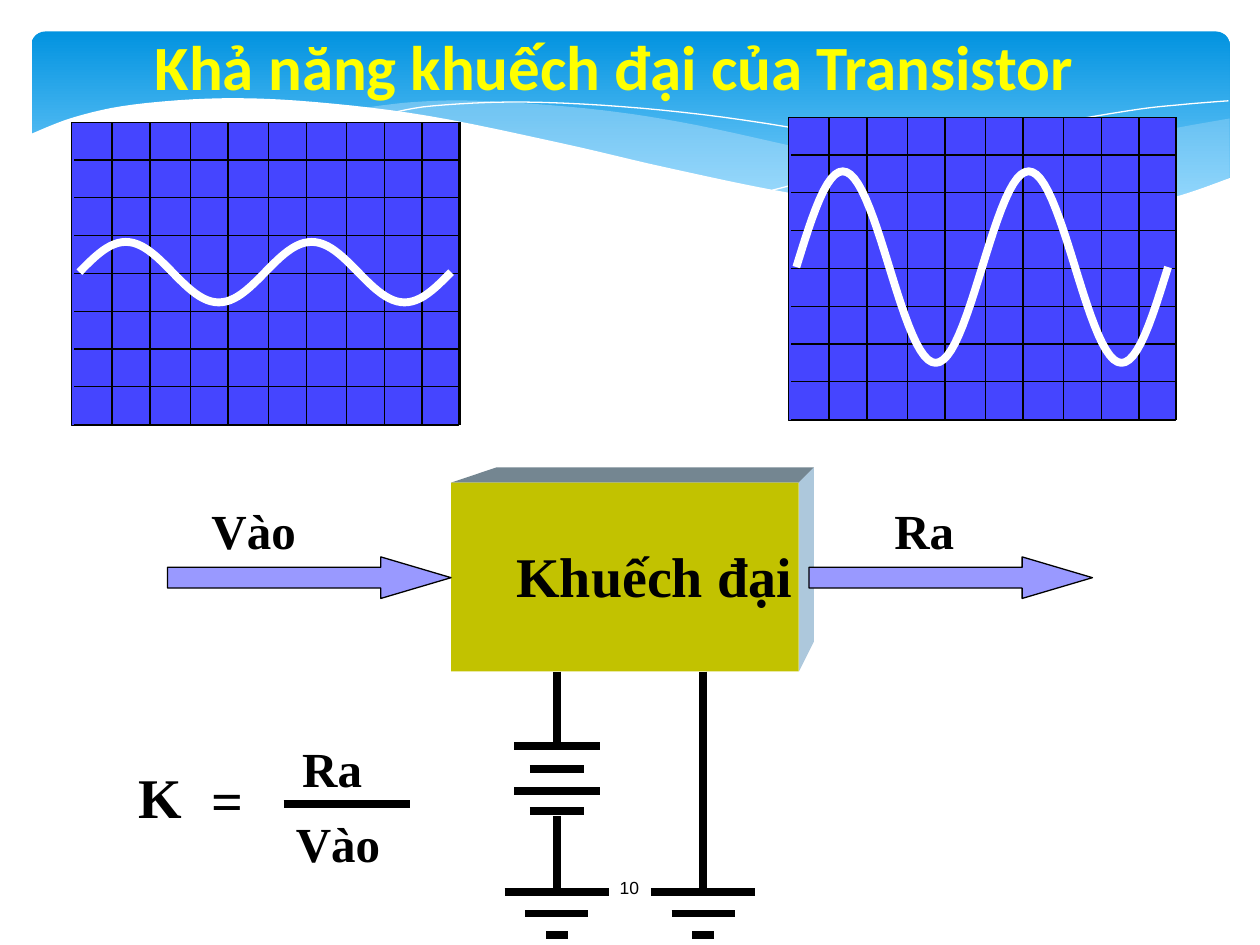
from dataclasses import dataclass
from math import pi, sin

from lxml import etree
from pptx import Presentation
from pptx.dml.color import RGBColor
from pptx.enum.shapes import MSO_CONNECTOR, MSO_SHAPE
from pptx.enum.text import MSO_ANCHOR, MSO_AUTO_SIZE, PP_ALIGN
from pptx.oxml.ns import qn
from pptx.util import Inches, Pt

RECT, ARROW, ROUNDED = MSO_SHAPE.RECTANGLE, MSO_SHAPE.RIGHT_ARROW, MSO_SHAPE.ROUNDED_RECTANGLE
STRAIGHT = MSO_CONNECTOR.STRAIGHT
MIDDLE, CENTER = MSO_ANCHOR.MIDDLE, PP_ALIGN.CENTER
NO_FIT = MSO_AUTO_SIZE.NONE


@dataclass(frozen=True)
class Theme:
    white: str = "FFFFFF"
    ink: str = "000000"
    title: str = "FFFF00"
    sky_top: str = "0293E0"
    sky_bottom: str = "83D3FE"
    mist: str = "C6E7FC"
    screen: str = "4545FF"
    arrow: str = "9999FF"
    box_front: str = "C2C200"
    box_top: str = "748691"
    box_side: str = "ADC8DC"
    serif: str = "Times New Roman"
    title_font: str = "Calibri"
    number_font: str = "Arial"
    title_size: int = 36
    large: int = 32
    medium: int = 28
    small: int = 10
    thin: float = 0.75
    thick: float = 4.5


@dataclass(frozen=True)
class Scope:
    left: float
    top: float
    wave_left: float
    axis: float
    amplitude: float


@dataclass(frozen=True)
class Label:
    text: str
    left: float
    top: float
    width: float
    height: float
    size: int


T = Theme()
Points = list[tuple[float, float]]

SCOPES = [Scope(6.26, 0.93, 6.32, 2.12, 0.76), Scope(0.57, 0.97, 0.63, 2.16, 0.24)]
SCREEN_W, SCREEN_H, ROW_H, ROWS = 3.07, 2.41, 0.3, 8
COLUMNS = (0, 0.32, 0.62, 0.94, 1.24, 1.56, 1.86, 2.18, 2.48, 2.78, 3.08)
WAVE_W, CYCLES, WAVE_STEPS = 2.95, 2, 96

LABELS = [
    Label("Khuếch đại", 4, 4.25, 2.41, 0.64, T.large),
    Label("Vào", 1.58, 3.92, 0.88, 0.57, T.medium),
    Label("Ra", 7, 3.92, 0.68, 0.57, T.medium),
    Label("K", 1, 6, 0.55, 0.64, T.large),
    Label("=", 1.58, 6.03, 0.45, 0.63, T.large),
    Label("Ra", 2.3, 5.81, 0.68, 0.57, T.medium),
    Label("Vào", 2.25, 6.41, 0.88, 0.57, T.medium),
]

# Knots of the header's curves
MIST_RIGHT = [(9.76, 0.94), (9.21, 1.04), (8.61, 1.18), (7.53, 1.43), (6.61, 1.6)]
MIST_RIGHT_BACK = [(6.61, 1.6), (7.32, 1.68), (8.03, 1.72), (8.72, 1.69), (9.28, 1.58), (9.76, 1.41)]
MIST_LEFT = [(8.93, 1.67), (8.07, 1.54), (7.06, 1.34), (6.29, 1.16), (5.41, 0.97),
             (4.65, 0.86), (3.8, 0.8), (3.28, 0.81), (2.86, 0.86)]
MIST_LEFT_BACK = [(2.86, 0.86), (3.62, 0.97), (4.49, 1.16), (5.66, 1.43), (6.5, 1.58),
                  (7.36, 1.69), (8.18, 1.73), (8.93, 1.67)]
HAIRLINES = [
    [(3.09, 0.9), (3.44, 0.84), (4.16, 0.81), (5.1, 0.86), (6.08, 0.98), (7.27, 1.2), (8.31, 1.45), (9.07, 1.66)],
    [(6.13, 1.51), (6.95, 1.3), (8.06, 1.04), (8.95, 0.88), (9.38, 0.83), (9.75, 0.8)],
]
WHITE_EDGE = [(9.77, 1.41), (9.3, 1.57), (8.75, 1.67), (8.09, 1.71), (7.26, 1.67), (6.26, 1.53), (5.29, 1.33),
              (4.47, 1.14), (3.4, 0.92), (2.5, 0.81), (1.77, 0.78), (1.06, 0.83), (0.59, 0.93), (0.23, 1.07)]


def smooth(knots: Points, steps: int = 6) -> Points:
    """Catmull-Rom curve through the knots."""
    ends = [knots[0], *knots, knots[-1]]
    curve = [knots[0]]
    for a, b, c, d in zip(ends, ends[1:], ends[2:], ends[3:]):
        for t in (i / steps for i in range(1, steps + 1)):
            curve.append(tuple(
                b[k] + t * (c[k] - a[k]) / 2
                + t**2 * (2 * a[k] - 5 * b[k] + 4 * c[k] - d[k]) / 2
                + t**3 * (3 * b[k] - a[k] - 3 * c[k] + d[k]) / 2
                for k in (0, 1)))
    return curve


def paint(sp, fill: str | None, line: str | None = None, width: float = T.thin) -> None:
    sp.shadow.inherit = False
    if fill:
        sp.fill.solid()
        sp.fill.fore_color.rgb = RGBColor.from_string(fill)
    else:
        sp.fill.background()
    if line:
        sp.line.color.rgb = RGBColor.from_string(line)
        sp.line.width = Pt(width)
    else:
        sp.line.fill.background()


def add_preset(s, kind, left: float, top: float, width: float, height: float):
    return s.shapes.add_shape(kind, Inches(left), Inches(top), Inches(width), Inches(height))


def add_outline(s, points: Points, closed: bool):
    start, *rest = [(Inches(x), Inches(y)) for x, y in points]
    builder = s.shapes.build_freeform(*start)
    builder.add_line_segments(rest, close=closed)
    return builder.convert_to_shape()


def add_line(s, x1: float, y1: float, x2: float, y2: float, width: float) -> None:
    line = s.shapes.add_connector(STRAIGHT, Inches(x1), Inches(y1), Inches(x2), Inches(y2))
    line.line.color.rgb = RGBColor.from_string(T.ink)
    line.line.width = Pt(width)
    etree.SubElement(line.element.spPr, qn("a:effectLst"))


def style(p, font: str, size: int, color: str, bold: bool = True) -> None:
    p.font.name, p.font.size, p.font.bold = font, Pt(size), bold
    p.font.color.rgb = RGBColor.from_string(color)


def add_text(s, label: Label):
    tb = s.shapes.add_textbox(*map(Inches, (label.left, label.top, label.width, label.height)))
    tf = tb.text_frame
    tf.word_wrap = False
    tf.text = label.text
    style(tf.paragraphs[0], T.serif, label.size, T.ink)
    return tf


def add_header(s) -> None:
    sky = add_preset(s, ROUNDED, 0.25, 0.25, 9.51, 1.56)
    sky.adjustments[0] = 0.07
    paint(sky, None)
    sky.fill.gradient()
    sky.fill.gradient_angle = 270
    for stop, color, position in zip(sky.fill.gradient_stops, (T.sky_top, T.sky_bottom), (0, 0.9)):
        stop.color.rgb = RGBColor.from_string(color)
        stop.position = position
    for front, back, opacity in ((MIST_RIGHT, MIST_RIGHT_BACK, 29), (MIST_LEFT, MIST_LEFT_BACK, 40)):
        mist = add_outline(s, smooth(front) + smooth(back), True)
        paint(mist, T.mist)
        color = mist.element.spPr.find(qn("a:solidFill")).find(qn("a:srgbClr"))
        etree.SubElement(color, qn("a:alpha")).set("val", str(opacity * 1000))
    for knots in HAIRLINES:
        paint(add_outline(s, smooth(knots), False), None, T.white, 0)
    paint(add_outline(s, smooth(WHITE_EDGE) + [(0.23, 2.24), (9.77, 2.24)], True), T.white)


def add_scope(s, scope: Scope) -> None:
    paint(add_preset(s, RECT, scope.left, scope.top, SCREEN_W, SCREEN_H), T.screen, T.ink)
    for row in range(ROWS + 1):
        y = scope.top + row * ROW_H
        add_line(s, scope.left + 0.02, y, scope.left + COLUMNS[-1], y, T.thin)
    for column in COLUMNS:
        x = scope.left + column
        add_line(s, x, scope.top, x, scope.top + ROWS * ROW_H, T.thin)
    wave = [(scope.wave_left + WAVE_W * i / WAVE_STEPS,
             scope.axis - scope.amplitude * sin(2 * pi * CYCLES * i / WAVE_STEPS))
            for i in range(WAVE_STEPS + 1)]
    paint(add_outline(s, wave, False), None, T.white, T.thick)


def add_bars(s, center: float, bars: list[tuple[float, float]]) -> None:
    for y, width in bars:
        add_line(s, center - width / 2, y, center + width / 2, y, T.thick)


def main() -> None:
    prs = Presentation()
    prs.slide_width, prs.slide_height = Inches(10), Inches(7.5)
    s = prs.slides.add_slide(prs.slide_layouts[5])

    add_header(s)
    for scope in SCOPES:
        add_scope(s, scope)

    # Amplifier box with its top and side faces
    paint(add_outline(s, [(3.58, 3.83), (3.94, 3.71), (6.46, 3.71), (6.34, 3.83)], True), T.box_top)
    paint(add_outline(s, [(6.34, 3.83), (6.46, 3.71), (6.46, 5.09), (6.34, 5.33)], True), T.box_side)
    paint(add_preset(s, RECT, 3.58, 3.83, 2.76, 1.5), T.box_front)

    # Battery, grounds and wires
    battery_x, ground_x = 4.42, 5.58
    add_bars(s, battery_x, [(5.92, 0.68), (6.1, 0.43), (6.28, 0.68), (6.44, 0.43)])
    for x in (battery_x, ground_x):
        add_bars(s, x, [(7.08, 0.83), (7.25, 0.5), (7.42, 0.17)])
    for x, top, bottom in ((battery_x, 5.33, 5.92), (battery_x, 6.48, 7.08), (ground_x, 5.33, 7.08)):
        add_line(s, x, top, x, bottom, T.thick)

    # Input and output arrows
    for left in (1.33, 6.42):
        arrow = add_preset(s, ARROW, left, 4.42, 2.25, 0.33)
        arrow.adjustments[1] = 1.69
        paint(arrow, T.arrow, T.ink)

    # Labels and the gain formula
    for label in LABELS:
        add_text(s, label)
    add_line(s, 2.25, 6.38, 3.25, 6.38, T.thick)

    # Title, in front of the header
    title = s.shapes.title
    title.left, title.top, title.width, title.height = map(Inches, (0.25, 0.25, 9.25, 0.53))
    tf = title.text_frame
    tf.text = "Khả năng khuếch đại của Transistor"
    tf.auto_size, tf.vertical_anchor = NO_FIT, MIDDLE
    tf.paragraphs[0].alignment = CENTER
    style(tf.paragraphs[0], T.title_font, T.title_size, T.title)
    s.shapes.element.append(title.element)

    # Slide number
    tf = add_text(s, Label("10", 4.36, 6.84, 1.27, 0.4, T.small))
    tf.word_wrap, tf.vertical_anchor = True, MIDDLE
    tf.paragraphs[0].alignment = CENTER
    style(tf.paragraphs[0], T.number_font, T.small, T.ink, False)

    prs.save("out.pptx")


if __name__ == "__main__":
    main()
